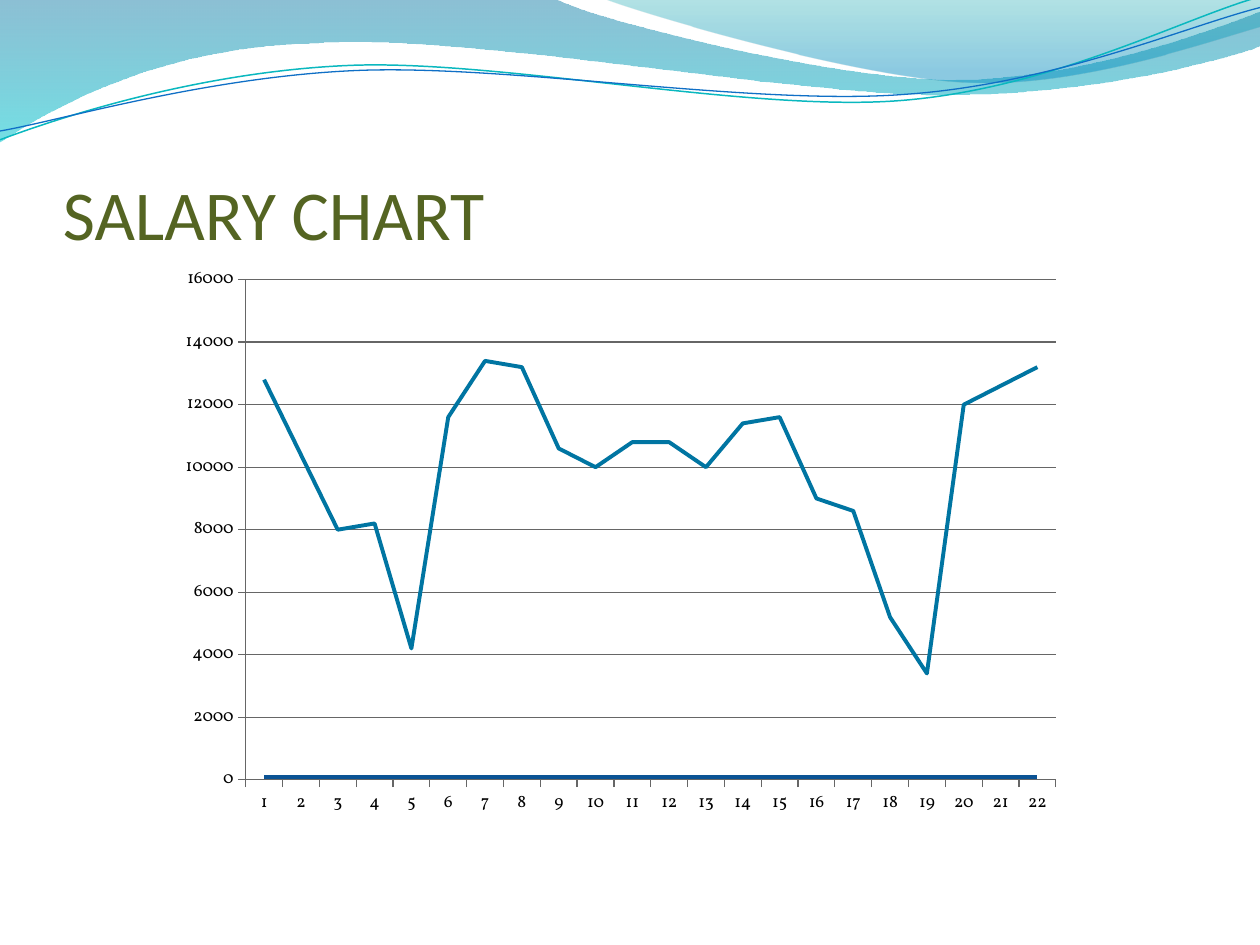
from lxml import etree
from pptx import Presentation
from pptx import util as u
from pptx.chart.data import CategoryChartData
from pptx.dml.color import RGBColor
from pptx.enum import chart as ch, text
from pptx.oxml import parse_xml
from pptx.oxml.ns import nsdecls, qn

COLORS = {
    "title": "546422", "label": "000000", "axis": "666666",
    "base": "0B5394", "salary": "0075A2",
    "teal_line": "0AB8BF", "blue_line": "0F6FC6",
    "deep_blue": "0074A1", "aqua": "00C6CF", "teal": "00A1A9", "sky": "008BBF",
}
TITLE = "SALARY CHART"
SERIES = {
    "Series 1": ("base", [100] * 22),
    "Series 2": ("salary", [
        12800, 10400, 8000, 8200, 4200, 11600, 13400, 13200, 10600, 10000, 10800,
        10800, 10000, 11400, 11600, 9000, 8600, 5200, 3400, 12000, 12600, 13200]),
}
CHART_BOX = (1.33, 2.03, 7.19, 4.53)
PLOT_BOX = (0.62, 0.19, 6.43, 3.97)

WAVES = [
    ([(0, 0), (4.4, -0.01), (4.76, 0.17, 6.64, 0.63, 7.58, 0.63),
      (8.53, 0.63, 9.58, 0.26, 10, 0.09), (10.01, 0.36),
      (9.83, 0.44, 8.7, 0.76, 7.46, 0.75), (6.22, 0.75, 3.82, 0.28, 2.57, 0.34),
      (1.29, 0.36, 0.46, 0.83, -0.01, 1.13)],
     [(0, "deep_blue", 45), (1, "aqua", 55)]),
    ([(4.79, -0.01), (5.09, 0.11, 6.82, 0.62, 7.69, 0.65),
      (8.56, 0.69, 9.61, 0.32, 10, 0.21), (10, 0)],
     [(0, "teal", 30), (0.8, "sky", 45)]),
]
STRANDS = [
    ([(0, 1.11), (0.48, 0.93, 1.58, 0.57, 2.77, 0.52),
      (3.95, 0.47, 5.93, 0.89, 7.13, 0.8), (8.33, 0.71, 9.38, 0.15, 9.98, -0.02)],
     "teal_line", 0.85),
    ([(0, 1.04), (0.47, 0.96, 1.64, 0.61, 2.83, 0.56),
      (4.03, 0.51, 5.97, 0.84, 7.17, 0.75), (8.36, 0.67, 9.41, 0.21, 10, 0.06)],
     "blue_line", 0.75),
]


def rgb(name):
    return RGBColor.from_string(COLORS[name])


def add_curve(slide, outline, close):
    points = [(u.Inches(x), u.Inches(y)) for segment in outline
              for x, y in zip(segment[::2], segment[1::2])]
    builder = slide.shapes.build_freeform(*points[0])
    builder.add_line_segments(points[1:], close=close)
    curve = builder.convert_to_shape()
    curve.shadow.inherit = False

    legs = iter(list(curve.element.spPr.iter(qn("a:lnTo"))))
    for segment in outline[1:]:
        group = [next(legs) for _ in range(len(segment) // 2)]
        if len(group) == 3:
            bezier = etree.Element(qn("a:cubicBezTo"))
            group[0].addprevious(bezier)
            for leg in group:
                bezier.append(leg[0])
                leg.getparent().remove(leg)
    return curve


def add_wave(slide, outline, stops):
    wave = add_curve(slide, outline, True)
    wave.line.fill.background()
    wave.fill.gradient()
    wave.fill.gradient_angle = 270
    for stop, (position, color, _) in zip(wave.fill.gradient_stops, stops):
        stop.position = position
        stop.color.rgb = rgb(color)
    colors = wave.element.spPr.iter(qn("a:srgbClr"))
    for color, (_, _, opacity) in zip(colors, stops):
        etree.SubElement(color, qn("a:alpha")).set("val", str(opacity * 1000))


def add_strand(slide, outline, color, width):
    strand = add_curve(slide, outline, False)
    strand.fill.background()
    strand.line.color.rgb = rgb(color)
    strand.line.width = u.Pt(width)


def add_title(slide):
    box = slide.shapes.add_textbox(*map(u.Inches, (0.5, 0.77, 9, 1.25)))
    frame = box.text_frame
    frame.word_wrap = True
    frame.vertical_anchor = text.MSO_ANCHOR.BOTTOM
    frame.margin_left = frame.margin_right = frame.margin_bottom = 0
    frame.margin_top = u.Inches(0.05)
    frame.text = TITLE
    font = frame.paragraphs[0].runs[0].font
    font.name, font.size = "Calibri", u.Pt(40)
    font.color.rgb = rgb("title")


def place_plot(chart):
    sizes = "".join(
        f'<c:{key} val="{part / whole}"/>'
        for key, part, whole in zip("xywh", PLOT_BOX, CHART_BOX[2:] * 2))
    layout = parse_xml(
        f'<c:layout {nsdecls("c")}><c:manualLayout><c:layoutTarget val="inner"/>'
        f'<c:xMode val="edge"/><c:yMode val="edge"/>{sizes}</c:manualLayout></c:layout>')
    plot_area = chart.element.find(".//" + qn("c:plotArea"))
    for automatic in plot_area.findall(qn("c:layout")):
        plot_area.remove(automatic)
    plot_area.insert(0, layout)


def add_salary_chart(slide):
    data = CategoryChartData()
    data.categories = [str(n) for n in range(1, 23)]
    for name, (_, values) in SERIES.items():
        data.add_series(name, values)
    chart = slide.shapes.add_chart(
        ch.XL_CHART_TYPE.LINE, *map(u.Inches, CHART_BOX), data).chart
    chart.has_legend = chart.has_title = False
    chart.font.name, chart.font.size = "Vollkorn", u.Pt(10)
    chart.font.color.rgb = rgb("label")
    plot = chart.plots[0]
    plot.vary_by_categories = False
    for line, (color, _) in zip(plot.series, SERIES.values()):
        line.smooth = False
        line.marker.style = ch.XL_MARKER_STYLE.NONE
        line.format.line.color.rgb = rgb(color)
        line.format.line.width = u.Pt(2.25)

    scale = chart.value_axis
    scale.minimum_scale, scale.maximum_scale, scale.major_unit = 0, 16000, 2000
    scale.has_major_gridlines = True
    for axis in (chart.category_axis, scale):
        axis.major_tick_mark = ch.XL_TICK_MARK.OUTSIDE
        axis.minor_tick_mark = ch.XL_TICK_MARK.NONE
    for part in (chart.category_axis, scale, scale.major_gridlines):
        part.format.line.color.rgb = rgb("axis")
        part.format.line.width = u.Pt(0.75)
    place_plot(chart)


def main():
    deck = Presentation()
    deck.slide_width, deck.slide_height = u.Inches(10), u.Inches(7.5)
    slide = deck.slides.add_slide(deck.slide_layouts[6])
    for wave in WAVES:
        add_wave(slide, *wave)
    for strand in STRANDS:
        add_strand(slide, *strand)
    add_title(slide)
    add_salary_chart(slide)
    deck.save("out.pptx")


if __name__ == "__main__":
    main()
